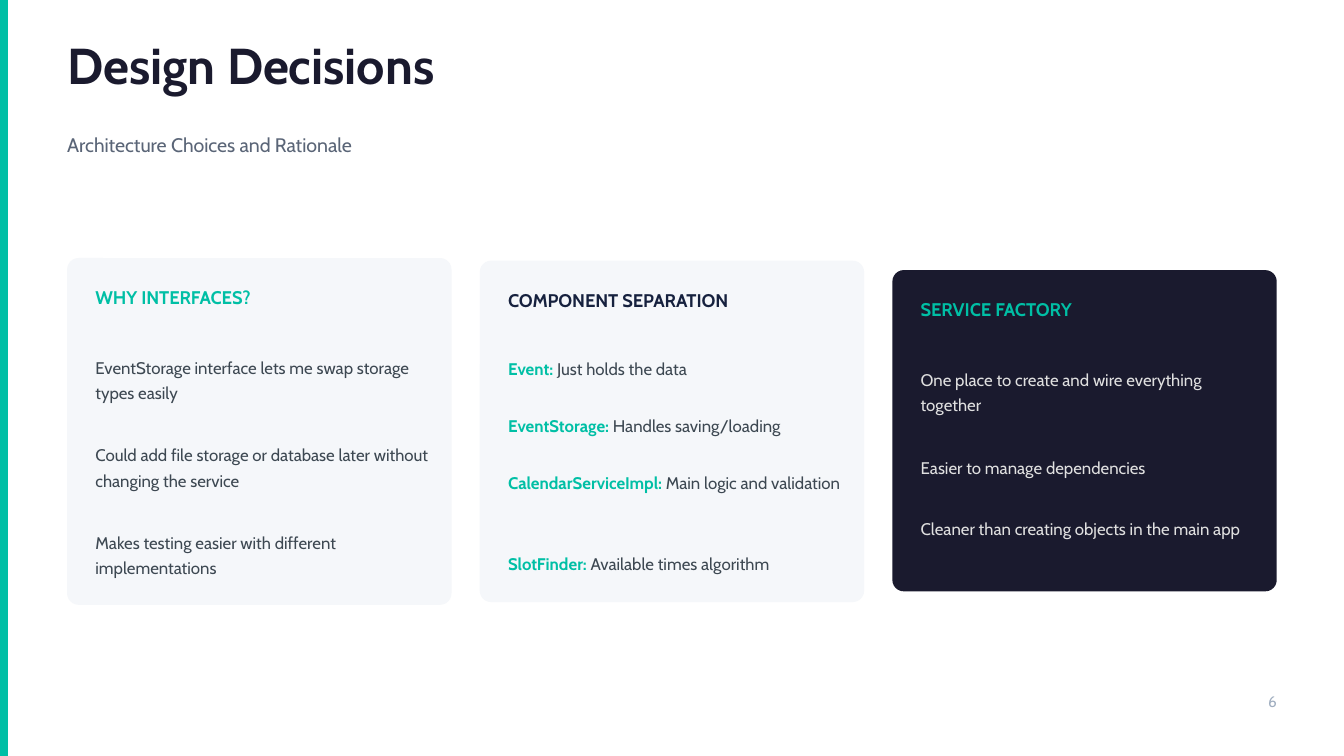
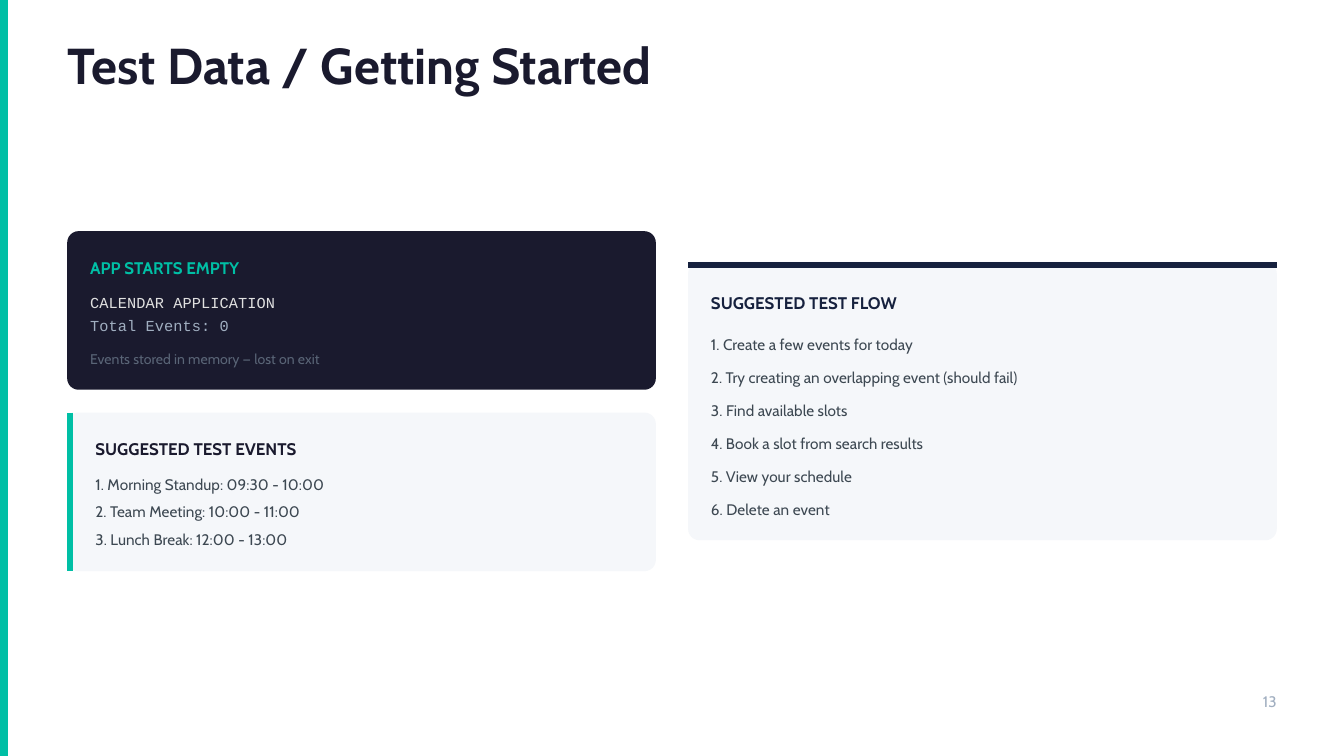
import dataclasses

import lxml.etree
import pptx
import pptx.dml.color
import pptx.enum.shapes
import pptx.enum.text
import pptx.oxml.ns
import pptx.util

PX = 4572  # EMU per px, 200 px to the inch
SLIDE_W, SLIDE_H = 2000, 1125
MARGIN = 100


@dataclasses.dataclass(frozen=True)
class TextStyle:
    size: float
    leading: float
    bold: bool = False
    font: str = "Cabin"


@dataclasses.dataclass(frozen=True)
class Theme:
    # Colours
    teal: str = "00BFA5"
    ink: str = "1A1A2E"
    navy: str = "16213E"
    slate: str = "5A6577"
    body: str = "3D4852"
    pale: str = "E0E0E0"
    muted: str = "A0AEC0"
    panel: str = "F5F7FA"
    white: str = "FFFFFF"
    # Type sizes
    title: TextStyle = TextStyle(27, 27, True)
    subtitle: TextStyle = TextStyle(10.5, 14.7)
    column_heading: TextStyle = TextStyle(9.75, 11.7, True)
    column_text: TextStyle = TextStyle(9, 13.5)
    column_term: TextStyle = TextStyle(9, 12.6)
    heading: TextStyle = TextStyle(9, 12.6, True)
    small: TextStyle = TextStyle(8.25, 11.6)
    code: TextStyle = TextStyle(8.25, 11.6, font="Courier New")
    note: TextStyle = TextStyle(7.5, 10.5)
    # Shape details
    radius: int = 17
    rule_pt: float = 3


def px(value):
    return pptx.util.Emu(value * PX)


def rgb(colour):
    return pptx.dml.color.RGBColor.from_string(colour)


class Deck:
    def __init__(self, theme):
        self.theme = theme
        self.prs = pptx.Presentation()
        self.prs.slide_width, self.prs.slide_height = px(SLIDE_W), px(SLIDE_H)
        self.slide = None

    def new_slide(self, title, title_width, number):
        """Start a slide with its background, side band, title and number."""
        theme = self.theme
        self.slide = self.prs.slides.add_slide(self.prs.slide_layouts[5])
        self.slide.background.fill.solid()
        self.slide.background.fill.fore_color.rgb = rgb(theme.white)
        self.box(0, 0, 12, SLIDE_H, theme.teal)

        heading = self.slide.shapes.title
        heading.left, heading.top = px(MARGIN), px(66)
        heading.width, heading.height = px(title_width), px(76)
        self.fill_text(heading.text_frame, [(title, theme.ink)], theme.title)
        self.text(64, 1026, 1836, 32, [(number, theme.muted)], theme.small,
                  pptx.enum.text.PP_ALIGN.RIGHT)

    def box(self, left, top, width, height, colour, rounded=False):
        kinds = pptx.enum.shapes.MSO_SHAPE
        shape = self.slide.shapes.add_shape(
            kinds.ROUNDED_RECTANGLE if rounded else kinds.RECTANGLE,
            px(left), px(top), px(width), px(height))
        if rounded:
            shape.adjustments[0] = self.theme.radius / min(width, height)
        shape.shadow.inherit = False
        shape.fill.solid()
        shape.fill.fore_color.rgb = rgb(colour)
        shape.line.fill.background()

    def rule(self, x1, y1, x2, y2, colour):
        line = self.slide.shapes.add_connector(
            pptx.enum.shapes.MSO_CONNECTOR.STRAIGHT,
            px(x1), px(y1), px(x2), px(y2))
        line.line.color.rgb = rgb(colour)
        line.line.width = pptx.util.Pt(self.theme.rule_pt)
        lxml.etree.SubElement(line._element.spPr,
                              pptx.oxml.ns.qn("a:effectLst"))

    def text(self, left, top, width, height, runs, style,
             align=pptx.enum.text.PP_ALIGN.LEFT):
        textbox = self.slide.shapes.add_textbox(
            px(left), px(top), px(width), px(height))
        self.fill_text(textbox.text_frame, runs, style, align)

    def fill_text(self, frame, runs, style,
                  align=pptx.enum.text.PP_ALIGN.LEFT):
        """Fill a frame with one paragraph of (text, colour[, bold]) runs."""
        frame.word_wrap = True
        frame.auto_size = pptx.enum.text.MSO_AUTO_SIZE.NONE
        frame.vertical_anchor = pptx.enum.text.MSO_ANCHOR.TOP
        frame.margin_left = frame.margin_right = 0
        frame.margin_top = frame.margin_bottom = 0
        paragraph = frame.paragraphs[0]
        paragraph.alignment = align
        paragraph.line_spacing = pptx.util.Pt(style.leading)
        for words, colour, *bold in runs:
            run = paragraph.add_run()
            run.text = words
            run.font.name = style.font
            run.font.size = pptx.util.Pt(style.size)
            run.font.bold = bold[0] if bold else style.bold
            run.font.color.rgb = rgb(colour)

    def column(self, left, top, height, fill, heading, items, style, line, gap):
        """Card whose items, given as (runs, line count), flow downwards."""
        self.box(left, top, 572, height, fill, rounded=True)
        self.text(left + 42, top + 42, 498, 32, [heading],
                  self.theme.column_heading)
        y = top + 141
        for runs, lines in items:
            self.text(left + 42, y, 498, lines * line, runs, style)
            y += lines * line + gap

    def numbered(self, left, top, width, pitch, items):
        for i, item in enumerate(items):
            self.text(left, top + i * pitch, width, 32,
                      [(f"{i + 1}. {item}", self.theme.body)], self.theme.small)


def design_decisions(deck):
    theme = deck.theme
    deck.new_slide("Design Decisions", 920, "6")
    deck.text(MARGIN, 192, 1836, 40,
              [("Architecture Choices and Rationale", theme.slate)],
              theme.subtitle)

    reasons = [
        "EventStorage interface lets me swap storage types easily",
        "Could add file storage or database later without changing the service",
        "Makes testing easier with different implementations",
    ]
    components = [
        ("Event:", " Just holds the data", 1),
        ("EventStorage:", " Handles saving/loading", 1),
        ("CalendarServiceImpl:", " Main logic and validation", 2),
        ("SlotFinder:", " Available times algorithm", 1),
    ]
    benefits = [
        ("One place to create and wire everything together", 2),
        ("Easier to manage dependencies", 1),
        ("Cleaner than creating objects in the main app", 2),
    ]
    # top, height, fill, heading, items, style, line height, gap
    columns = [
        (384, 516, theme.panel, ("WHY INTERFACES?", theme.teal),
         [([(reason, theme.body)], 2) for reason in reasons],
         theme.column_text, 38, 54),
        (388, 508, theme.panel, ("COMPONENT SEPARATION", theme.navy),
         [([(term, theme.teal, True), (role, theme.body)], lines)
          for term, role, lines in components],
         theme.column_term, 35, 50),
        (402, 478, theme.ink, ("SERVICE FACTORY", theme.teal),
         [([(benefit, theme.pale)], lines) for benefit, lines in benefits],
         theme.column_text, 38, 54),
    ]
    for i, column in enumerate(columns):
        deck.column(MARGIN + i * 614, *column)


def getting_started(deck):
    theme = deck.theme
    deck.new_slide("Test Data / Getting Started", 956, "13")
    card_w, flow_left = 876, 1024

    # Empty start
    deck.box(MARGIN, 344, card_w, 236, theme.ink, rounded=True)
    for y, height, words, colour, style in [
        (378, 34, "APP STARTS EMPTY", theme.teal, theme.heading),
        (432, 32, "CALENDAR APPLICATION", theme.pale, theme.code),
        (466, 32, "Total Events: 0", theme.muted, theme.code),
        (518, 30, "Events stored in memory — lost on exit", theme.slate,
         theme.note),
    ]:
        deck.text(MARGIN + 34, y, 824, height, [(words, colour)], style)

    # Test events
    deck.box(MARGIN, 614, card_w, 236, theme.panel, rounded=True)
    deck.rule(MARGIN + 4, 614, MARGIN + 4, 850, theme.teal)
    deck.text(MARGIN + 42, 648, 816, 34,
              [("SUGGESTED TEST EVENTS", theme.ink)], theme.heading)
    deck.numbered(MARGIN + 42, 702, 816, 41, [
        "Morning Standup: 09:30 - 10:00",
        "Team Meeting: 10:00 - 11:00",
        "Lunch Break: 12:00 - 13:00",
    ])

    # Test flow
    deck.box(flow_left, 390, card_w, 414, theme.panel, rounded=True)
    deck.rule(flow_left, 394, flow_left + card_w, 394, theme.navy)
    deck.text(flow_left + 34, 430, 824, 34,
              [("SUGGESTED TEST FLOW", theme.navy)], theme.heading)
    deck.numbered(flow_left + 34, 494, 824, 49, [
        "Create a few events for today",
        "Try creating an overlapping event (should fail)",
        "Find available slots",
        "Book a slot from search results",
        "View your schedule",
        "Delete an event",
    ])


def main():
    deck = Deck(Theme())
    design_decisions(deck)
    getting_started(deck)
    deck.prs.save("out.pptx")


if __name__ == "__main__":
    main()
